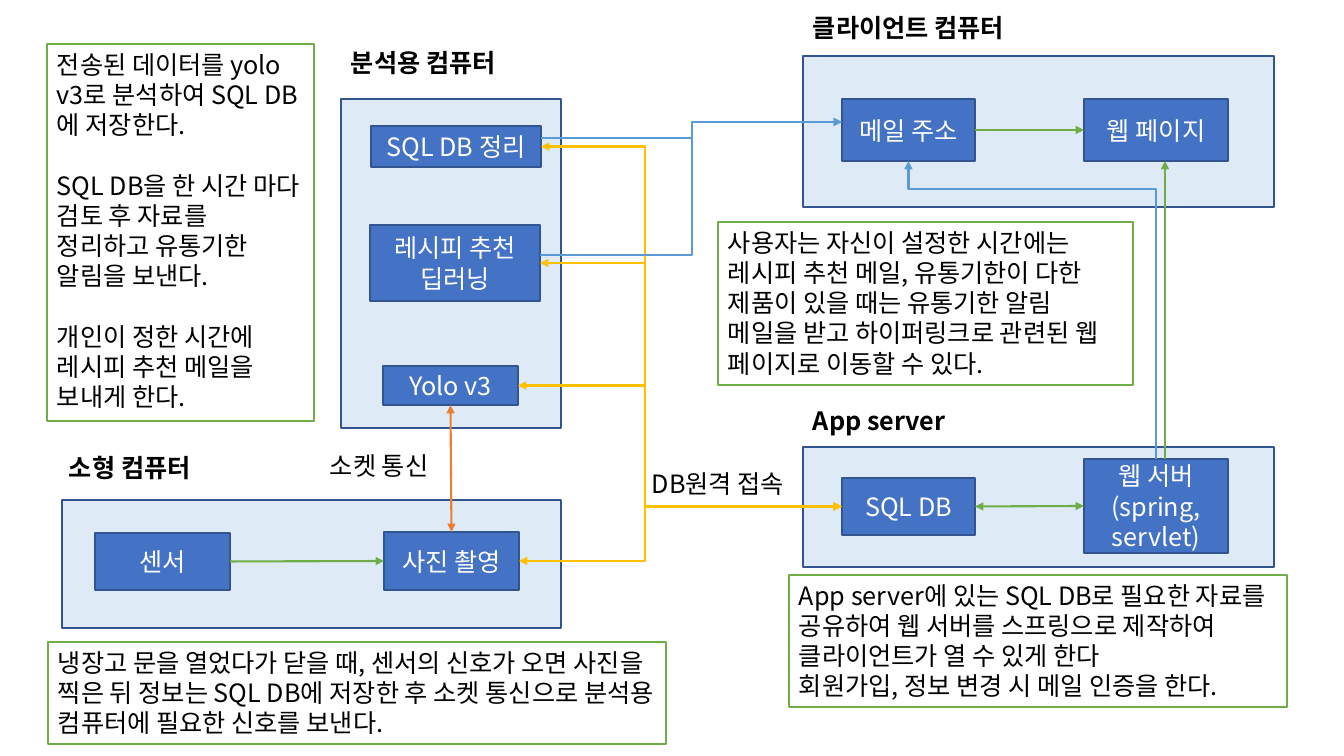
from dataclasses import dataclass
from typing import NamedTuple

from lxml.etree import SubElement
from pptx import Presentation
from pptx.dml.color import RGBColor as Rgb
from pptx.enum.shapes import MSO_CONNECTOR as Route, MSO_SHAPE as Preset
from pptx.enum.text import MSO_ANCHOR as Anchor, PP_ALIGN as Align
from pptx.oxml.ns import qn
from pptx.util import Emu, Inches, Pt

SCALE = Inches(7.5) / 756  # EMU in one pixel
TOP, LEFT, BOTTOM, RIGHT = range(4)  # connection sites of a rectangle


@dataclass(frozen=True)
class Theme:
    """Colours, font and sizes of the diagram."""
    font: str = "Noto Sans CJK KR"
    text_size: float = 18
    paragraph_gap: float = 21.6
    outline_width: float = 1
    link_width: float = 1.5
    ink: str = "000000"
    paper: str = "FFFFFF"
    panel: str = "DEEBF7"
    node: str = "4472C4"
    border: str = "325491"
    green: str = "70AD47"
    orange: str = "ED7D31"
    yellow: str = "FFC000"
    blue: str = "5B9BD5"


THEME = Theme()


class Box(NamedTuple):
    """A rectangle in pixels."""
    x: int
    y: int
    w: int
    h: int


class Caption(NamedTuple):
    """A heading or a link label."""
    box: Box
    words: str
    bold: bool = True


class Note(NamedTuple):
    """An outlined explanation, with the gap before each later paragraph."""
    box: Box
    paragraphs: list[str]
    gap: float = 0


class Node(NamedTuple):
    """A component of the system."""
    box: Box
    lines: list[str]


class End(NamedTuple):
    """A link end on one side of a node, shifted along that side."""
    node: str
    side: int
    shift: int = 0


class Link(NamedTuple):
    """An arrow; bend is the pixel where its middle segment lies."""
    start: End
    finish: End
    color: str
    both: bool = False
    bend: int | None = None


PANELS = [Box(62, 500, 499, 128), Box(803, 447, 471, 120),
          Box(803, 56, 471, 151), Box(341, 99, 220, 329)]

CAPTIONS = [
    Caption(Box(59, 447, 373, 40), "소형 컴퓨터"),
    Caption(Box(803, 400, 375, 40), "App server"),
    Caption(Box(803, 7, 375, 40), "클라이언트 컴퓨터"),
    Caption(Box(341, 42, 373, 40), "분석용 컴퓨터"),
    Caption(Box(320, 445, 150, 40), "소켓 통신", bold=False),
    Caption(Box(642, 463, 169, 40), "DB원격 접속", bold=False),
]

NOTES = [
    Note(Box(48, 642, 618, 102),
         ["냉장고 문을 열었다가 닫을 때, 센서의 신호가 오면 사진을 찍은 뒤 정보는 SQL DB에 "
          "저장한 후 소켓 통신으로 분석용 컴퓨터에 필요한 신호를 보낸다."]),
    Note(Box(789, 575, 498, 132),
         ["App server에 있는 SQL DB로 필요한 자료를 공유하여 웹 서버를 스프링으로 "
          "제작하여 클라이언트가 열 수 있게 한다",
          "회원가입, 정보 변경 시 메일 인증을 한다."]),
    Note(Box(47, 44, 267, 377),
         ["전송된 데이터를 yolo v3로 분석하여 SQL DB에 저장한다.",
          "SQL DB을 한 시간 마다 검토 후 자료를 정리하고 유통기한 알림을 보낸다.",
          "개인이 정한 시간에 레시피 추천 메일을 보내게 한다."], THEME.paragraph_gap),
    Note(Box(718, 222, 415, 163),
         ["사용자는 자신이 설정한 시간에는 레시피 추천 메일, 유통기한이 다한 제품이 있을 때는 "
          "유통기한 알림 메일을 받고 하이퍼링크로 관련된 웹 페이지로 이동할 수 있다."]),
]

NODES = {
    "camera": Node(Box(384, 532, 135, 58), ["사진 촬영"]),
    "sensor": Node(Box(95, 533, 135, 57), ["센서"]),
    "database": Node(Box(842, 478, 133, 57), ["SQL DB"]),
    "mail": Node(Box(842, 99, 133, 62), ["메일 주소"]),
    "web server": Node(Box(1084, 459, 144, 94), ["웹 서버", "(spring,", "servlet)"]),
    "web page": Node(Box(1084, 99, 144, 62), ["웹 페이지"]),
    "yolo": Node(Box(383, 366, 135, 39), ["Yolo v3"]),
    "tidy": Node(Box(371, 126, 170, 41), ["SQL DB 정리"]),
    "recipe": Node(Box(370, 225, 170, 76), ["레시피 추천", "딥러닝"]),
}

LINKS = [
    Link(End("sensor", RIGHT), End("camera", LEFT), THEME.green),
    Link(End("web server", TOP, 9), End("web page", BOTTOM, 9), THEME.green),
    Link(End("database", RIGHT), End("web server", LEFT), THEME.green, both=True),
    Link(End("mail", RIGHT), End("web page", LEFT), THEME.green),
    Link(End("camera", TOP), End("yolo", BOTTOM), THEME.orange, both=True),
    *(Link(End(client, RIGHT), End("database", LEFT), THEME.yellow, both=True, bend=645)
      for client in ("tidy", "recipe", "yolo", "camera")),
    *(Link(End(sender, RIGHT, -8), End("mail", LEFT, -8), THEME.blue, bend=692)
      for sender in ("tidy", "recipe")),
    Link(End("web server", TOP), End("mail", BOTTOM), THEME.blue, bend=189),
]


def px(*lengths: float) -> list[Emu]:
    """Turn pixels into EMU."""
    return [Emu(round(length * SCALE)) for length in lengths]


def write(frame, paragraphs: list[str], color: str, bold: bool = False,
          align=Align.LEFT, gap: float = 0) -> None:
    """Fill a text frame, one run a paragraph."""
    frame.word_wrap = True
    for index, words in enumerate(paragraphs):
        paragraph = frame.add_paragraph() if index else frame.paragraphs[0]
        paragraph.alignment = align
        paragraph.space_before = Pt(gap if index else 0)
        run = paragraph.add_run()
        run.text = words
        font = run.font
        font.name, font.size, font.bold = THEME.font, Pt(THEME.text_size), bold
        font.color.rgb = Rgb.from_string(color)
        SubElement(run._r.get_or_add_rPr(), qn("a:ea"), typeface=THEME.font)


def paint(shape, fill: str, border: str) -> None:
    """Give a shape a flat fill and a thin outline."""
    shape.fill.solid()
    shape.fill.fore_color.rgb = Rgb.from_string(fill)
    shape.line.color.rgb = Rgb.from_string(border)
    shape.line.width = Pt(THEME.outline_width)


def add_rectangle(shapes, box: Box, fill: str):
    """Draw a panel or node rectangle."""
    rectangle = shapes.add_shape(Preset.RECTANGLE, *px(*box))
    rectangle.shadow.inherit = False
    paint(rectangle, fill, THEME.border)
    return rectangle


def add_node(shapes, node: Node):
    """Draw a component with its centred name."""
    component = add_rectangle(shapes, node.box, THEME.node)
    component.text_frame.vertical_anchor = Anchor.MIDDLE
    write(component.text_frame, node.lines, THEME.paper, align=Align.CENTER)
    return component


def add_caption(shapes, caption: Caption) -> None:
    """Write a heading or a link label."""
    frame = shapes.add_textbox(*px(*caption.box)).text_frame
    write(frame, [caption.words], THEME.ink, caption.bold)


def add_note(shapes, note: Note) -> None:
    """Write an explanation in a green outline."""
    outlined = shapes.add_textbox(*px(*note.box))
    paint(outlined, THEME.paper, THEME.green)
    write(outlined.text_frame, note.paragraphs, THEME.ink, gap=note.gap)


def locate(end: End) -> tuple[float, float]:
    """Find the pixel position of a link end."""
    x, y, w, h = NODES[end.node].box
    if end.side in (LEFT, RIGHT):
        return x + w * (end.side == RIGHT), y + h / 2 + end.shift
    return x + w / 2 + end.shift, y + h * (end.side == BOTTOM)


def add_link(shapes, link: Link, components: dict) -> None:
    """Draw an arrow, gluing unshifted ends to their nodes."""
    (x1, y1), (x2, y2) = locate(link.start), locate(link.finish)
    bent = link.bend is not None
    upward = bent and link.start.side == TOP
    ends = x1, y1, x2, y2
    if upward:  # lay the route out sideways, then turn it to point up
        mid_x, mid_y = (x1 + x2) / 2, (y1 + y2) / 2
        run, rise = (y1 - y2) / 2, (x1 - x2) / 2
        ends = mid_x - run, mid_y + rise, mid_x + run, mid_y - rise
    arrow = shapes.add_connector(Route.ELBOW if bent else Route.STRAIGHT, *px(*ends))
    properties = arrow._element.spPr
    if upward:
        properties.find(qn("a:xfrm")).set("rot", str(270 * 60000))
    else:
        if not link.start.shift:
            arrow.begin_connect(components[link.start.node], link.start.side)
        if not link.finish.shift:
            arrow.end_connect(components[link.finish.node], link.finish.side)
    if bent:
        share = (link.bend - y1) / (y2 - y1) if upward else (link.bend - x1) / (x2 - x1)
        guides = properties.find(qn("a:prstGeom")).get_or_add_avLst()
        SubElement(guides, qn("a:gd"), name="adj1", fmla=f"val {round(share * 100000)}")
    arrow.line.color.rgb = Rgb.from_string(link.color)
    arrow.line.width = Pt(THEME.link_width)
    for tip in ("headEnd", "tailEnd") if link.both else ("tailEnd",):
        SubElement(arrow.line._get_or_add_ln(), qn(f"a:{tip}"), type="triangle")
    SubElement(properties, qn("a:effectLst"))


def main() -> None:
    """Build the system diagram and save it."""
    deck = Presentation()
    deck.slide_width, deck.slide_height = px(1344, 756)
    shapes = deck.slides.add_slide(deck.slide_layouts[6]).shapes
    for panel in PANELS:
        add_rectangle(shapes, panel, THEME.panel)
    components = {key: add_node(shapes, node) for key, node in NODES.items()}
    for caption in CAPTIONS:
        add_caption(shapes, caption)
    for note in NOTES:
        add_note(shapes, note)
    for link in LINKS:
        add_link(shapes, link, components)
    deck.save("out.pptx")


main()
